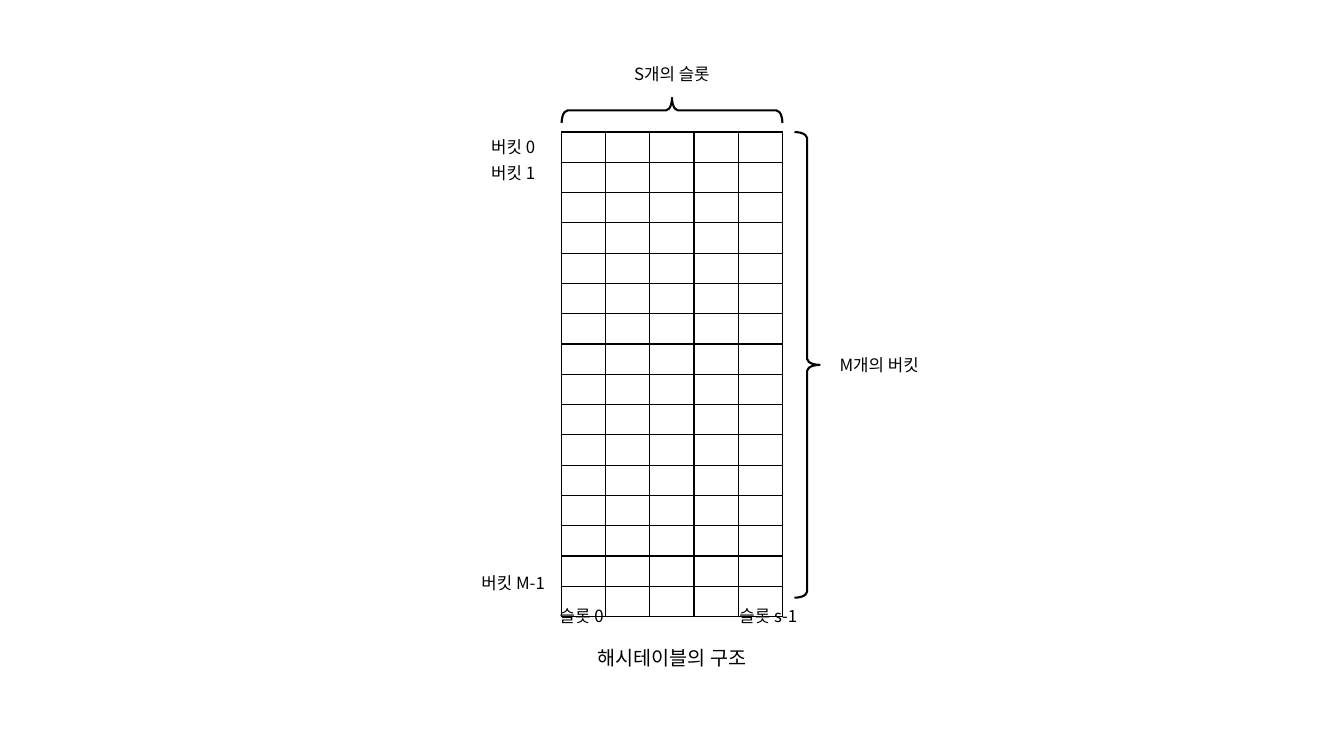
import pptx
import pptx.dml.color
import pptx.enum.shapes
import pptx.enum.text
import pptx.oxml
import pptx.oxml.ns
import pptx.util

Inches = pptx.util.Inches
Pt = pptx.util.Pt
BLACK = pptx.dml.color.RGBColor(0, 0, 0)
FONT = "Noto Sans CJK KR"
BUCKETS, SLOTS = 16, 5
GRID_LEFT, GRID_TOP, GRID_WIDTH, GRID_HEIGHT = 5.57, 1.31, 2.19, 4.62
BRACE_DEPTH = 0.25


def add_text(slide, text, left, top, width, height=0.3, size=12):
    """Add a centred label that grows with its text."""
    label = slide.shapes.add_textbox(Inches(left), Inches(top), Inches(width), Inches(height))
    frame = label.text_frame
    frame.word_wrap = True
    frame.auto_size = pptx.enum.text.MSO_AUTO_SIZE.SHAPE_TO_FIT_TEXT
    paragraph = frame.paragraphs[0]
    paragraph.alignment = pptx.enum.text.PP_ALIGN.CENTER
    run = paragraph.add_run()
    run.text = text
    run.font.size = Pt(size)
    run.font.name = FONT
    run.font.color.rgb = BLACK
    east_asian = pptx.oxml.parse_xml(
        f'<a:ea {pptx.oxml.ns.nsdecls("a")} typeface="{FONT}"/>')
    run.font._element.append(east_asian)


def add_brace(slide, left, top, length, rotation=0):
    """Add a right brace, turned by the given degrees."""
    brace = slide.shapes.add_shape(
        pptx.enum.shapes.MSO_SHAPE.RIGHT_BRACE,
        Inches(left), Inches(top), Inches(BRACE_DEPTH), Inches(length))
    brace.adjustments[0] = 0.238
    brace.adjustments[1] = 0.5
    brace.rotation = rotation
    brace.shadow.inherit = False
    brace.fill.background()
    brace.line.color.rgb = BLACK
    brace.line.width = Pt(1.5)


def style_slot(slot):
    """Give an empty slot thin black borders, no fill and small type."""
    properties = slot._tc.get_or_add_tcPr()
    for edge in ("lnL", "lnR", "lnT", "lnB"):
        properties.append(pptx.oxml.parse_xml(
            f'<a:{edge} {pptx.oxml.ns.nsdecls("a")} w="{Pt(1)}"><a:solidFill>'
            f'<a:srgbClr val="{BLACK}"/></a:solidFill></a:{edge}>'))
    slot.fill.background()
    slot.text_frame.paragraphs[0]._p.append(pptx.oxml.parse_xml(
        f'<a:endParaRPr {pptx.oxml.ns.nsdecls("a")} sz="1000">'
        f'<a:latin typeface="{FONT}"/><a:ea typeface="{FONT}"/></a:endParaRPr>'))


def add_hash_table(slide):
    """Add the grid of buckets and slots."""
    grid = slide.shapes.add_table(
        BUCKETS, SLOTS, Inches(GRID_LEFT), Inches(GRID_TOP),
        Inches(GRID_WIDTH), Inches(GRID_HEIGHT)).table
    grid.first_row = False
    grid.horz_banding = False
    for slot in grid.iter_cells():
        style_slot(slot)


def main():
    """Build the hash table slide."""
    deck = pptx.Presentation()
    deck.slide_width = Inches(13.33)
    deck.slide_height = Inches(7.5)
    slide = deck.slides.add_slide(deck.slide_layouts[6])
    add_hash_table(slide)
    grid_middle = GRID_LEFT + GRID_WIDTH / 2
    add_brace(slide, grid_middle - BRACE_DEPTH / 2, 0, GRID_WIDTH, rotation=270)
    add_brace(slide, 7.88, GRID_TOP, GRID_HEIGHT)
    add_text(slide, "S개의 슬롯", 5.65, 0.58, 2.03)
    add_text(slide, "M개의 버킷", 8.13, 3.47, 1.18)
    add_text(slide, "슬롯 0", 5.42, 5.96, 0.7)
    add_text(slide, "슬롯 s-1", 7.1, 5.96, 1.04)
    for bucket, top in (("M-1", 5.63), ("0", GRID_TOP), ("1", 1.57)):
        add_text(slide, f"버킷 {bucket}", 4.61, top, 0.96)
    add_text(slide, "해시테이블의 구조", 5.65, 6.36, 2.03, height=0.34, size=14)
    deck.save("out.pptx")


main()
